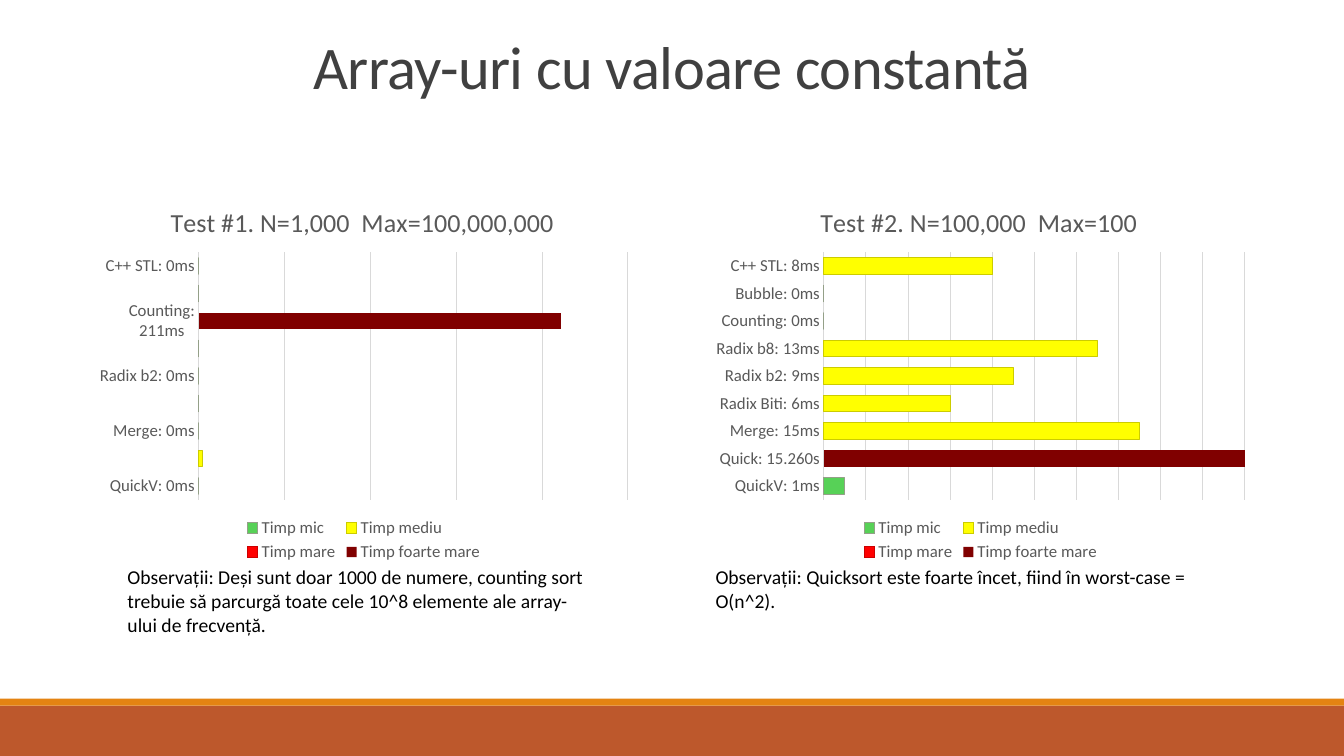
import pptx
import pptx.chart.data
import pptx.dml.color
import pptx.enum.chart
import pptx.enum.shapes
import pptx.enum.text
import pptx.oxml
import pptx.oxml.ns
import pptx.util

Pt = pptx.util.Pt
RGB = pptx.dml.color.RGBColor
ALIGN = pptx.enum.text.PP_ALIGN
ANCHOR = pptx.enum.text.MSO_ANCHOR
ENUM = pptx.enum.chart

FONT = "Calibri"
BLACK = RGB(0x00, 0x00, 0x00)
DARK = RGB(0x40, 0x40, 0x40)
GREY = RGB(0x59, 0x59, 0x59)
GRID = RGB(0xD9, 0xD9, 0xD9)
RUST = RGB(0xBD, 0x58, 0x2C)
AMBER = RGB(0xE4, 0x83, 0x12)

# Time class: name, fill, outline
LEVELS = [
    ("Timp mic", RGB(0x57, 0xD1, 0x57), RGB(0x94, 0xA0, 0x88)),
    ("Timp mediu", RGB(0xFF, 0xFF, 0x00), RGB(0xCC, 0xCC, 0x00)),
    ("Timp mare", RGB(0xFF, 0x00, 0x00), RGB(0xCC, 0x00, 0x00)),
    ("Timp foarte mare", RGB(0x80, 0x00, 0x00), None),
]
LOW, MID, HIGH, TOP = range(4)

# Each bar, from the bottom up: label, rounded milliseconds, time class
TEST_1 = [
    ("QuickV: 0ms", 0, LOW),
    ("Quick: 2ms", 2, MID),
    ("Merge: 0ms", 0, LOW),
    ("Radix Biti: 0ms", 0, LOW),
    ("Radix b2: 0ms", 0, LOW),
    ("Radix b8: 0ms", 0, LOW),
    ("Counting: 211ms", 211, TOP),
    ("Bubble: 0ms", 0, LOW),
    ("C++ STL: 0ms", 0, LOW),
]
TEST_2 = [
    ("QuickV: 1ms", 1, LOW),
    ("Quick: 15.260s", 15300, TOP),
    ("Merge: 15ms", 15, MID),
    ("Radix Biti: 6ms", 6, MID),
    ("Radix b2: 9ms", 9, MID),
    ("Radix b8: 13ms", 13, MID),
    ("Counting: 0ms", 0, LOW),
    ("Bubble: 0ms", 0, LOW),
    ("C++ STL: 8ms", 8, MID),
]


def write(frame, words, size=14, color=BLACK, align=ALIGN.LEFT, lead=None, track=None):
    """Put one formatted paragraph in a text frame."""
    para = frame.paragraphs[0]
    para.alignment = align
    if lead:
        para.line_spacing = lead
    run = para.add_run()
    run.text = words
    font = run.font
    font.name, font.size, font.bold = FONT, Pt(size), False
    font.color.rgb = color
    if track:
        run._r.get_or_add_rPr().set("spc", str(track))


def label(slide, box, words, anchor=ANCHOR.TOP, **style):
    frame = slide.shapes.add_textbox(*map(Pt, box)).text_frame
    frame.word_wrap = True
    frame.vertical_anchor = anchor
    write(frame, words, **style)


def band(slide, top, height, color):
    kind = pptx.enum.shapes.MSO_SHAPE.RECTANGLE
    shape = slide.shapes.add_shape(kind, 0, Pt(top), Pt(960), Pt(height))
    shape.shadow.inherit = False
    shape.fill.solid()
    shape.fill.fore_color.rgb = color
    shape.line.fill.background()


def place(node, index, inner=False, **spots):
    """Give a chart part a fixed place, in fractions of the chart."""
    for old in node.findall(pptx.oxml.ns.qn("c:layout")):
        node.remove(old)
    parts = '<c:layoutTarget val="inner"/>' if inner else ""
    parts += "".join(f'<c:{key}Mode val="edge"/>' for key in "xy")
    parts += "".join(f'<c:{key} val="{val}"/>' for key, val in spots.items())
    names = pptx.oxml.ns.nsdecls("c")
    node.insert(index, pptx.oxml.parse_xml(
        f"<c:layout {names}><c:manualLayout>{parts}</c:manualLayout></c:layout>"))


def bars(slide, left, title, tests, peak, step, head, plot, width):
    data = pptx.chart.data.CategoryChartData()
    data.categories = [test[0] for test in tests]
    for rank, level in enumerate(LEVELS):
        data.add_series(level[0], [time if kind == rank else None for _, time, kind in tests])
    chart = slide.shapes.add_chart(
        ENUM.XL_CHART_TYPE.BAR_STACKED, Pt(left), Pt(134.3), Pt(393), Pt(270), data).chart
    chart.font.name, chart.font.size = FONT, Pt(12)
    chart.font.color.rgb = GREY

    # Title and plot area
    chart.has_title = True
    write(chart.chart_title.text_frame, title, size=18.6, color=GREY, align=ALIGN.CENTER)
    root = chart._chartSpace
    place(root.xpath("c:chart/c:title")[0], 1, x=head, y=0.03)
    place(root.xpath("c:chart/c:plotArea")[0], 0, inner=True, x=plot, y=0.17, w=width, h=0.655)

    # Axes and legend
    names, times = chart.category_axis, chart.value_axis
    names.major_tick_mark = ENUM.XL_TICK_MARK.NONE
    names.format.line.fill.background()
    times.visible = False
    times.minimum_scale, times.maximum_scale, times.major_unit = 0, peak, step
    times.has_major_gridlines = True
    grid = times.major_gridlines.format.line
    grid.color.rgb, grid.width = GRID, Pt(0.75)
    chart.has_legend = True
    chart.legend.position = ENUM.XL_LEGEND_POSITION.BOTTOM
    chart.legend.include_in_layout = False

    # Bars
    group = chart.plots[0]
    group.gap_width, group.overlap, group.vary_by_categories = 70, 100, False
    for row, (_, fill, edge) in zip(group.series, LEVELS):
        row.format.fill.solid()
        row.format.fill.fore_color.rgb = fill
        if edge is None:
            row.format.line.fill.background()
        else:
            row.format.line.color.rgb = edge
            row.format.line.width = Pt(0.75)


def main():
    deck = pptx.Presentation()
    deck.slide_width, deck.slide_height = Pt(960), Pt(540)
    slide = deck.slides.add_slide(deck.slide_layouts[6])

    # Footer bands
    band(slide, 504, 36, RUST)
    band(slide, 499, 5, AMBER)

    # Heading
    label(slide, (84, 21, 792, 55.4), "Array-uri cu valoare constantă", anchor=ANCHOR.BOTTOM,
          size=43.2, color=DARK, align=ALIGN.CENTER, lead=0.85, track=-40)

    # Left test
    bars(slide, 63.4, "Test #1. N=1,000  Max=100,000,000", TEST_1,
         peak=250, step=50, head=0.14, plot=0.2, width=0.78)
    label(slide, (84, 400.3, 345.6, 58.3),
          "Observații: Deși sunt doar 1000 de numere, counting sort trebuie să parcurgă "
          "toate cele 10^8 elemente ale array-ului de frecvență.")

    # Right test
    bars(slide, 504, "Test #2. N=100,000  Max=100", TEST_2,
         peak=20, step=2, head=0.2, plot=0.215, width=0.765)
    label(slide, (504, 400.3, 372, 41),
          "Observații: Quicksort este foarte încet, fiind în worst-case = O(n^2).")

    deck.save("out.pptx")


if __name__ == "__main__":
    main()
